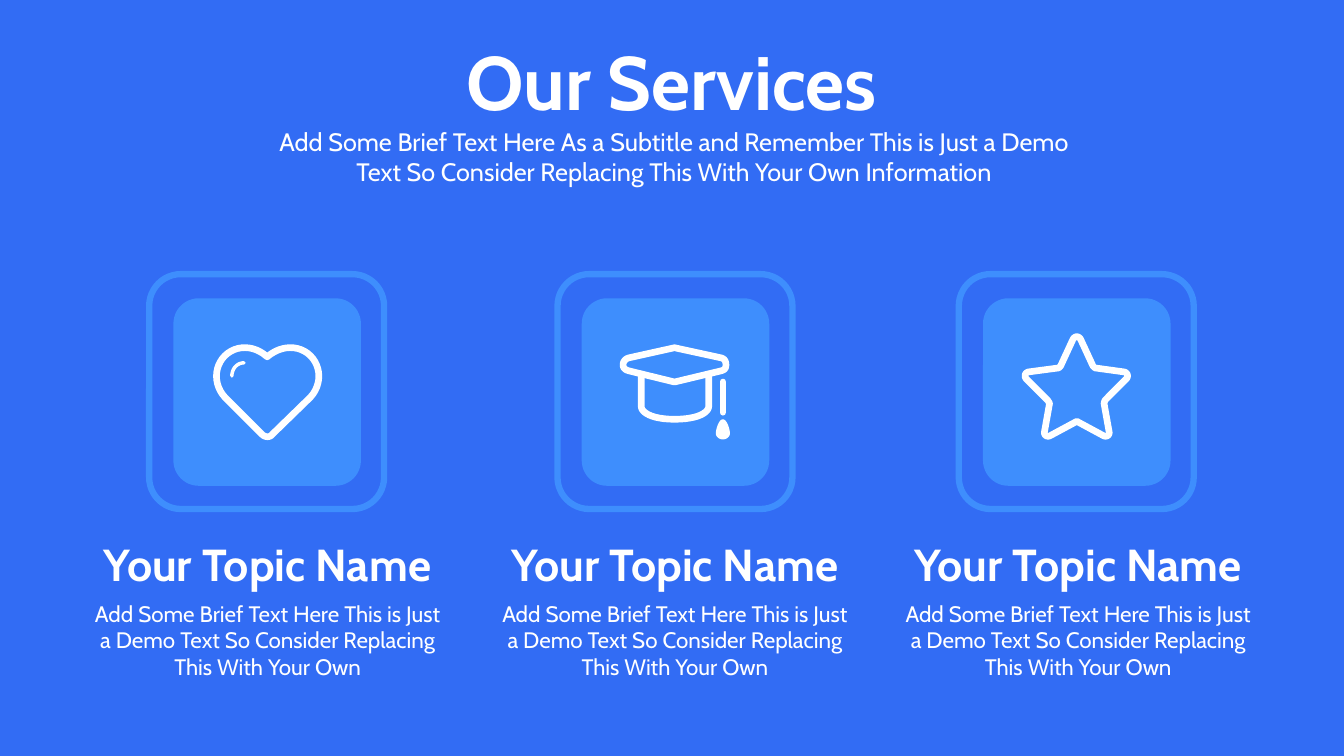
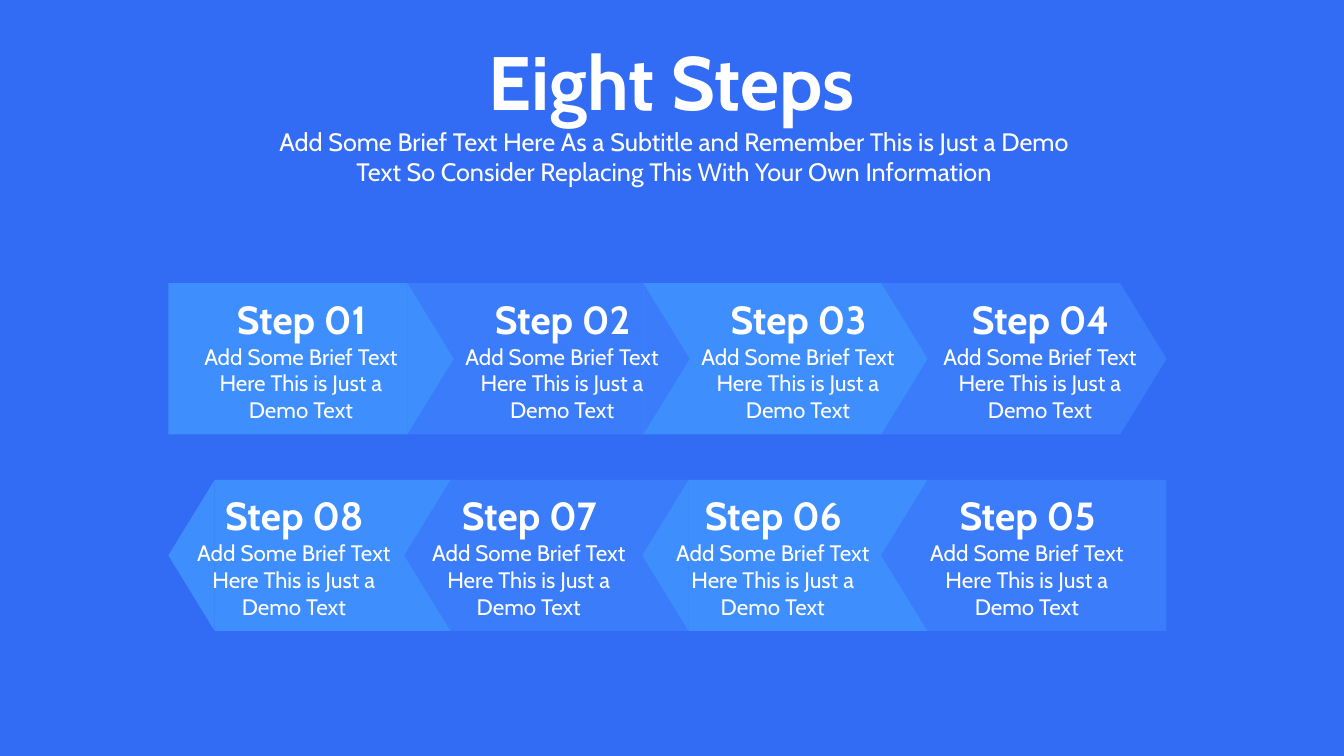
from pptx import Presentation
from pptx.dml.color import RGBColor
from pptx.enum.shapes import MSO_SHAPE as SHAPE
from pptx.enum.text import MSO_AUTO_SIZE as AUTO, PP_ALIGN as ALIGN
from pptx.oxml import parse_xml
from pptx.oxml.ns import nsdecls, qn
from pptx.util import Pt

# Style
PX = 9144  # EMU per px, 100 px to the inch
WIDTH, HEIGHT = 1333, 750
FONT = "Cabin"
BLUE = RGBColor(0x32, 0x6C, 0xF4)
MID = RGBColor(0x3B, 0x7C, 0xFA)
LIGHT = RGBColor(0x3E, 0x8E, 0xFD)
WHITE = RGBColor(0xFF, 0xFF, 0xFF)

# Step arrows: a rectangle with a triangular tip
BODY_W, ARROW_H, TIP = 237, 150, 46

# Wording
SUBTITLE = ("Add Some Brief Text Here As a Subtitle and Remember This is Just a Demo "
            "Text So Consider Replacing This With Your Own Information")
STEP_TEXT = "Add Some Brief Text Here This is Just a Demo Text"
TOPIC_TEXT = STEP_TEXT + " So Consider Replacing This With Your Own"

# Icon outlines: a pair is a line to that point, six numbers are a Bézier curve
HEART = [(265, 354), (279, 342, 297, 342, 308, 353), (319, 364, 319, 382, 308, 394),
         (270, 431), (268, 434, 263, 434, 260, 431), (223, 394),
         (212, 382, 212, 364, 223, 353), (234, 342, 252, 342, 265, 354)]
GLEAM = [(242, 360), (235, 360, 230, 366, 230, 373)]
CAP_BOARD = [(669, 345), (715, 355), (719, 356, 720, 359, 720, 362),
             (720, 365, 719, 367, 715, 368), (669, 379), (624, 368),
             (620, 367, 618, 365, 618, 362), (618, 359, 620, 356, 624, 355)]
CAP_BODY = [(636, 373), (636, 403), (636, 409, 646, 416, 669, 416),
            (693, 416, 703, 409, 703, 403), (703, 373)]
CAP_CORD = [(717, 379), (717, 409)]
CAP_TASSEL = [(717, 416), (713, 416, 710, 426, 710, 430), (710, 433, 713, 436, 717, 436),
              (721, 436, 724, 433, 724, 430), (724, 426, 721, 416, 717, 416)]
STAR = [(1064, 337), (1066, 333, 1070, 333, 1072, 337), (1084, 363), (1086, 365),
        (1115, 369), (1119, 370, 1119, 374, 1117, 376), (1096, 397), (1095, 400),
        (1100, 428), (1101, 432, 1097, 434, 1094, 432), (1068, 418), (1042, 432),
        (1039, 434, 1035, 432, 1036, 428), (1041, 400), (1039, 397), (1018, 376),
        (1016, 374, 1016, 370, 1020, 369), (1050, 365), (1052, 363)]


def flatten(path, steps=12):
    """Turn lines and curves into a list of points."""
    points = [path[0]]
    for seg in path[1:]:
        if len(seg) == 2:
            points.append(seg)
            continue
        start = points[-1]
        for i in range(1, steps + 1):
            t = i / steps
            u = 1 - t
            points.append(tuple(
                u**3 * start[k] + 3 * u * u * t * seg[k]
                + 3 * u * t * t * seg[k + 2] + t**3 * seg[k + 4] for k in (0, 1)))
    return points


class Deck:
    def __init__(self):
        self.prs = Presentation()
        self.prs.slide_width, self.prs.slide_height = WIDTH * PX, HEIGHT * PX

    def slide(self, title):
        self.s = self.prs.slides.add_slide(self.prs.slide_layouts[6])
        fill = self.s.background.fill
        fill.solid()
        fill.fore_color.rgb = BLUE
        self.text(title, 299, 30, 734, 101, 54, bold=True)
        self.text(SUBTITLE, 252, 120, 833, 71, 18)

    def text(self, text, x, y, w, h, size, bold=False):
        box = self.s.shapes.add_textbox(x * PX, y * PX, w * PX, h * PX)
        tf = box.text_frame
        tf.word_wrap = True
        tf.auto_size = AUTO.SHAPE_TO_FIT_TEXT
        p = tf.paragraphs[0]
        p.text, p.alignment = text, ALIGN.CENTER
        p.font.name, p.font.size, p.font.bold = FONT, Pt(size), bold
        p.font.color.rgb = WHITE

    def paint(self, sp, fill=None, line=None, weight=0):
        sp.shadow.inherit = False
        for part, color in ((sp.fill, fill), (sp.line.fill, line)):
            if color is None:
                part.background()
            else:
                part.solid()
                part.fore_color.rgb = color
        if line is not None:
            sp.line.width = Pt(weight)

    def shape(self, kind, x, y, w, h, adj=None, turn=0, **paint):
        sp = self.s.shapes.add_shape(kind, x * PX, y * PX, w * PX, h * PX)
        if adj is not None:
            sp.adjustments[0] = adj
        sp.rotation = turn
        self.paint(sp, **paint)

    def icon(self, path, weight=4.75, close=False):
        """Draw a white outline, or a solid shape when weight is 0."""
        points = [(round(x * PX), round(y * PX)) for x, y in flatten(path)]
        builder = self.s.shapes.build_freeform(*points[0])
        builder.add_line_segments(points[1:], close=close)
        sp = builder.convert_to_shape()
        if not weight:
            self.paint(sp, fill=WHITE)
            return
        self.paint(sp, line=WHITE, weight=weight)
        ln = sp.element.spPr.find(qn("a:ln"))
        ln.set("cap", "rnd")
        ln.append(parse_xml(f"<a:round {nsdecls('a')}/>"))

    def tile(self, x, y):
        self.shape(SHAPE.ROUNDED_RECTANGLE, x, y, 233, 233, 0.135, line=LIGHT, weight=4.5)
        self.shape(SHAPE.ROUNDED_RECTANGLE, x + 24, y + 24, 186, 186, 0.135, fill=LIGHT)

    def topic(self, x):
        self.text("Your Topic Name", x, 528, 403, 64, 32, bold=True)
        self.text(TOPIC_TEXT, x + 15, 590, 373, 91, 16)

    def arrow(self, x, y, color, right):
        body_x, tip_x, turn = (x, x + BODY_W, 90) if right else (x + TIP, x, 270)
        self.shape(SHAPE.RECTANGLE, body_x, y, BODY_W, ARROW_H, fill=color)
        # The tip turns about its centre, so its box is set around that point
        inset = (ARROW_H - TIP) // 2
        self.shape(SHAPE.ISOSCELES_TRIANGLE, tip_x - inset, y + inset, ARROW_H, TIP,
                   turn=turn, fill=color)

    def step(self, number, x, y):
        self.text(f"Step {number:02}", x, y, 310, 57, 28, bold=True)
        self.text(STEP_TEXT, x + 41, y + 47, 227, 91, 16)


def services(deck):
    deck.slide("Our Services")
    for tile_x, text_x in ((148, 64), (553, 468), (951, 868)):
        deck.tile(tile_x, 272)
        deck.topic(text_x)
    # Icons
    for outline in (HEART, CAP_BOARD, STAR):
        deck.icon(outline, close=True)
    deck.icon(GLEAM, weight=2.5)
    deck.icon(CAP_BODY)
    deck.icon(CAP_CORD)
    deck.icon(CAP_TASSEL, weight=0, close=True)


def eight_steps(deck):
    deck.slide("Eight Steps")
    # Arrows: each tip lies over the next arrow in its row
    arrows = list(zip((167, 401, 637, 874), (LIGHT, MID, LIGHT, MID)))
    for row, y, right in ((arrows, 476, False), (arrows[::-1], 281, True)):
        for x, color in row:
            deck.arrow(x, y, color, right)
    # Labels, left to right in each row
    for y, numbers, lefts in ((288, (1, 2, 3, 4), (144, 403, 637, 877)),
                              (483, (8, 7, 6, 5), (137, 370, 612, 864))):
        for number, x in zip(numbers, lefts):
            deck.step(number, x, y)


def main():
    deck = Deck()
    services(deck)
    eight_steps(deck)
    deck.prs.save("out.pptx")


if __name__ == "__main__":
    main()
